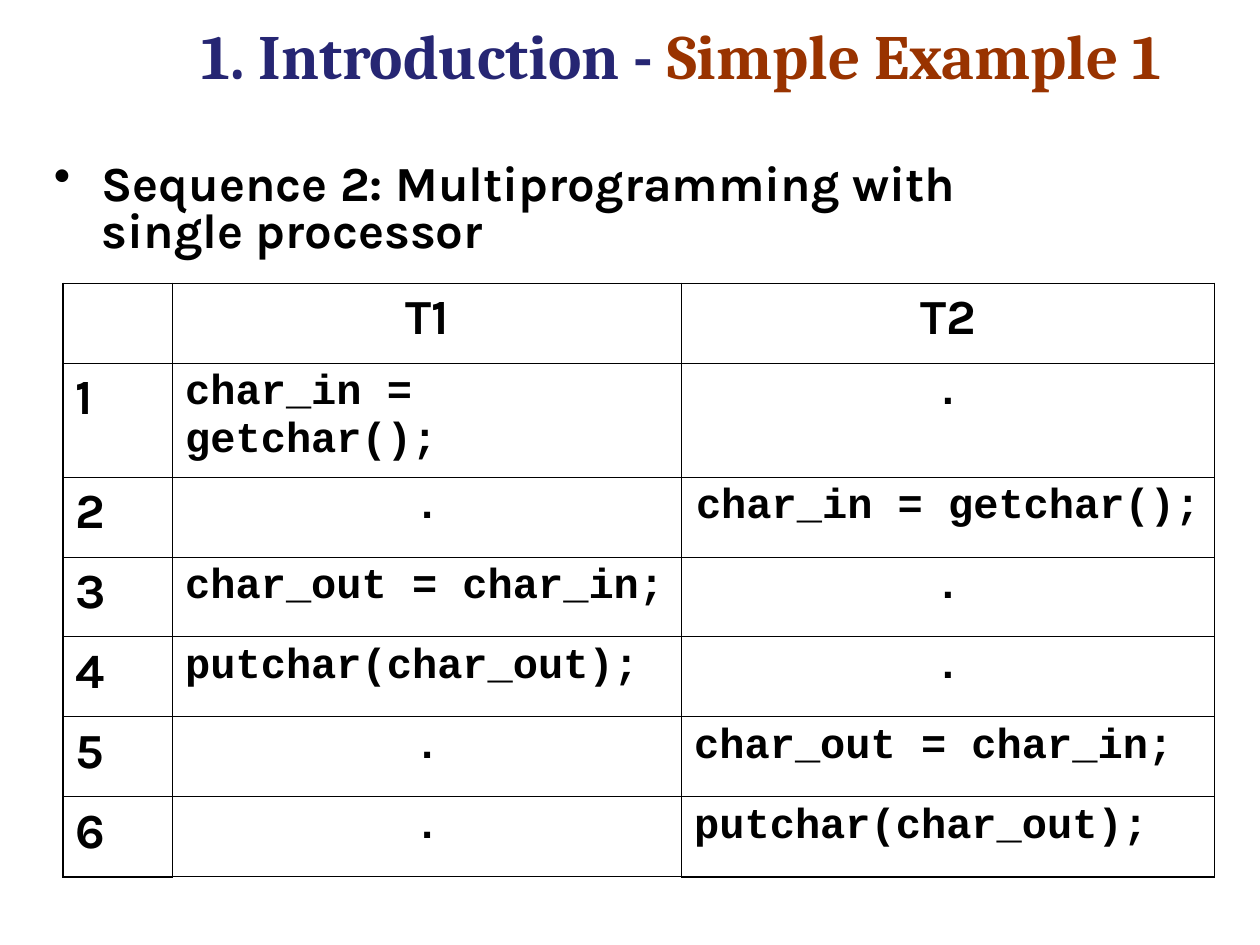
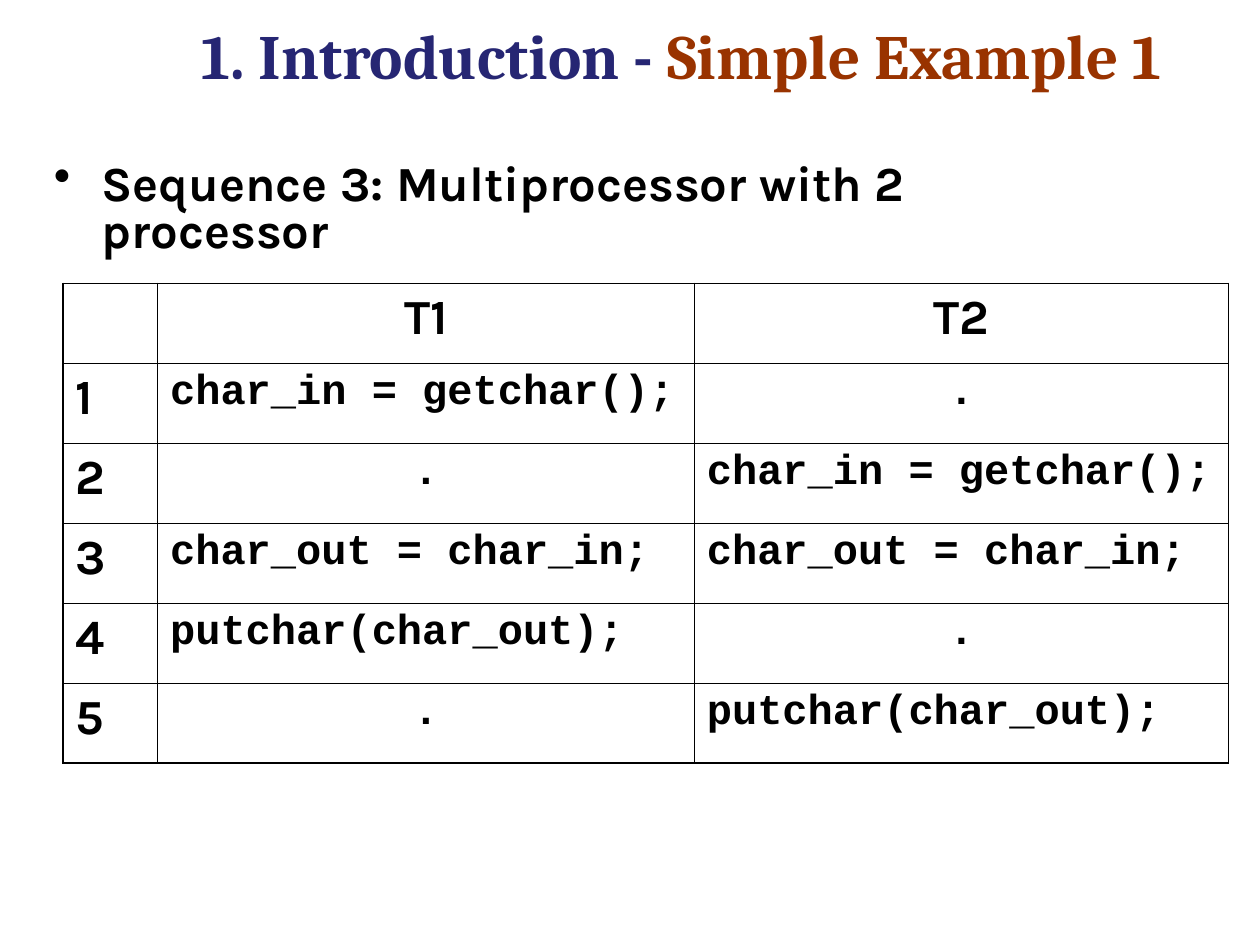
"""Build two slides that trace thread interleavings in tables."""
import pptx
import pptx.util
import pptx.dml.color
import pptx.enum.text
import pptx.oxml.ns
import lxml.etree

Inches, Pt = pptx.util.Inches, pptx.util.Pt
RGBColor = pptx.dml.color.RGBColor
ALIGN = pptx.enum.text.PP_ALIGN

NAVY = RGBColor(0x26, 0x26, 0x73)
RUST = RGBColor(0x99, 0x33, 0x00)
BLACK = RGBColor(0, 0, 0)
THIN, THICK = Pt(0.45), Pt(1.08)
ROW = Inches(3.81) // 6

TITLE = (("1. Introduction - ", NAVY), ("Simple Example 1", RUST))
HEADS = ("", "T1", "T2")
READ, COPY, WRITE, IDLE = (
    "char_in = getchar();", "char_out = char_in;", "putchar(char_out);", ".")

SLIDES = [
    {"point": "Sequence 2: Multiprogramming with single processor",
     "steps": [(READ, IDLE), (IDLE, READ), (COPY, IDLE), (WRITE, IDLE),
               (IDLE, COPY), (IDLE, WRITE)],
     "cols": (0.87, 4.04, 4.23), "tall": {1: 0.9},
     "mid": {(2, 2)}, "open": {(6, 1)}},
    {"point": "Sequence 3: Multiprocessor with 2 processor",
     "steps": [(READ, IDLE), (IDLE, READ), (COPY, COPY), (WRITE, IDLE),
               (IDLE, WRITE)],
     "cols": (0.75, 4.26, 4.24), "tall": {}, "mid": set(), "open": set()},
]


def style(run, face, size, color=BLACK):
    font = run.font
    font.name, font.size, font.bold = face, Pt(size), True
    font.color.rgb = color


def add_elem(parent, tag, **attrs):
    elem = lxml.etree.SubElement(parent, pptx.oxml.ns.qn(tag))
    for key, value in attrs.items():
        elem.set(key, str(value))
    return elem


def add_box(slide, *place):
    frame = slide.shapes.add_textbox(*map(Inches, place)).text_frame
    frame.word_wrap = True
    return frame.paragraphs[0]


def add_title(slide):
    para = add_box(slide, 1.5, 0.08, 8.42, 0.83)
    for text, color in TITLE:
        run = para.add_run()
        run.text = text
        style(run, "Cambria", 36, color)


def add_point(slide, text):
    para = add_box(slide, 0.33, 1.25, 8.5, 1.08)
    para.text = text
    para.line_spacing = 0.8
    props = para._p.get_or_add_pPr()
    props.set("marL", str(Inches(0.38)))
    props.set("indent", str(-Inches(0.38)))
    add_elem(add_elem(props, "a:buClr"), "a:srgbClr", val=BLACK)
    add_elem(props, "a:buChar", char="•")
    style(para.runs[0], "Karla", 28)


def add_edges(cell, thick):
    props = cell._tc.get_or_add_tcPr()
    for side in "LRTB":
        line = add_elem(props, "a:ln" + side, w=THICK if side in thick else THIN)
        add_elem(add_elem(line, "a:solidFill"), "a:srgbClr", val=BLACK)
    cell.fill.background()


def add_trace(slide, data):
    rows = [HEADS] + [(str(num), *step)
                      for num, step in enumerate(data["steps"], 1)]
    last = len(rows) - 1
    table = slide.shapes.add_table(
        len(rows), len(HEADS), Inches(0.5), Inches(2.25),
        Inches(sum(data["cols"])), ROW * len(rows)).table
    table.first_row = table.horz_banding = False
    for col, width in zip(table.columns, data["cols"]):
        col.width = Inches(width)
    for num, height in data["tall"].items():
        table.rows[num].height = Inches(height)
    for y, row in enumerate(rows):
        for x, text in enumerate(row):
            cell = table.cell(y, x)
            rim = {"L": x == 0, "R": x == 2, "T": y == 0,
                   "B": y == last and (y, x) not in data["open"]}
            add_edges(cell, [side for side, outer in rim.items() if outer])
            if not text:
                continue
            para = cell.text_frame.paragraphs[0]
            para.text = text
            mid = y == 0 or text == IDLE or (y, x) in data["mid"]
            para.alignment = ALIGN.CENTER if mid else ALIGN.LEFT
            code = x > 0 and y > 0
            style(para.runs[0], *(("Courier New", 24) if code else ("Karla", 28)))


def main():
    deck = pptx.Presentation()
    deck.slide_width, deck.slide_height = Inches(10), Inches(7.5)
    for data in SLIDES:
        slide = deck.slides.add_slide(deck.slide_layouts[6])
        add_title(slide)
        add_point(slide, data["point"])
        add_trace(slide, data)
    deck.save("out.pptx")


if __name__ == "__main__":
    main()
